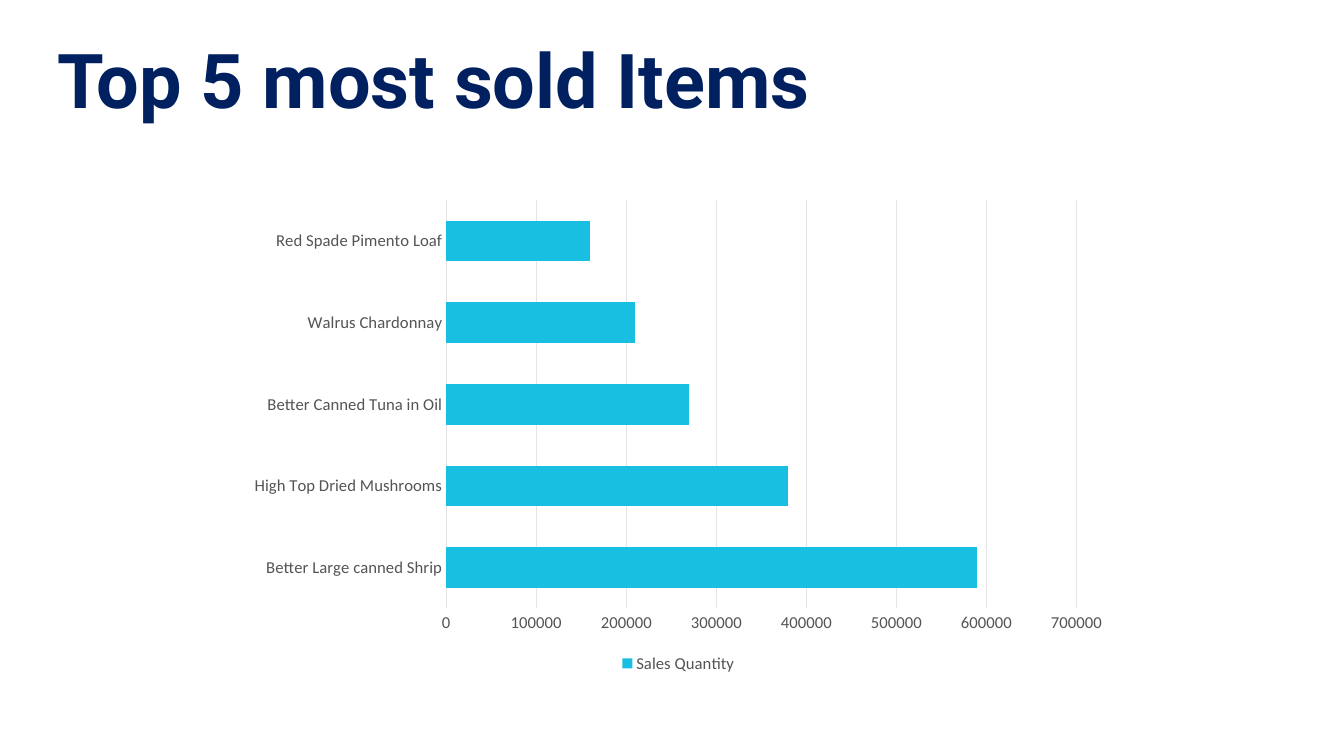
from pptx import Presentation
from pptx.chart.data import CategoryChartData
from pptx.dml.color import RGBColor
from pptx.enum.chart import XL_CHART_TYPE, XL_LEGEND_POSITION, XL_TICK_MARK
from pptx.enum.text import MSO_ANCHOR, MSO_AUTO_SIZE, PP_ALIGN
from pptx.util import Cm, Pt

BAR_CLUSTERED = XL_CHART_TYPE.BAR_CLUSTERED
LEGEND_BOTTOM = XL_LEGEND_POSITION.BOTTOM
NO_TICK = XL_TICK_MARK.NONE
TOP = MSO_ANCHOR.TOP
NO_AUTOFIT = MSO_AUTO_SIZE.NONE
LEFT = PP_ALIGN.LEFT
TITLE_ONLY = 5

SALES = {
    "Better Large canned Shrip": 590000,
    "High Top Dried Mushrooms": 380000,
    "Better Canned Tuna in Oil": 270000,
    "Walrus Chardonnay": 210000,
    "Red Spade Pimento Loaf": 160000,
}


def color(value):
    return RGBColor.from_string(value)


class SlideBuilder:
    navy = "002060"
    cyan = "19BFE0"
    gray = "545454"
    light = "E5E5E5"

    def __init__(self, presentation):
        self.slide = presentation.slides.add_slide(presentation.slide_layouts[TITLE_ONLY])

    def style_font(self, font, name, size, value, bold=False):
        font.name = name
        font.size = Pt(size)
        font.bold = bold
        font.color.rgb = color(value)

    def style_line(self, line):
        line.color.rgb = color(self.light)
        line.width = Pt(0.75)

    def title(self, text, left, top, width, height):
        shape = self.slide.shapes.title
        shape.left, shape.top, shape.width, shape.height = left, top, width, height
        frame = shape.text_frame
        frame.text = text
        frame.margin_left = frame.margin_right = frame.margin_top = frame.margin_bottom = 0
        frame.vertical_anchor = TOP
        frame.auto_size = NO_AUTOFIT
        paragraph = frame.paragraphs[0]
        paragraph.alignment = LEFT
        self.style_font(paragraph.runs[0].font, "Roboto", 54, self.navy, True)

    def bar_chart(self, name, values, left, top, width, height):
        data = CategoryChartData()
        data.categories = list(values)
        data.add_series(name, list(values.values()))
        chart = self.slide.shapes.add_chart(BAR_CLUSTERED, left, top, width, height, data).chart
        chart.has_title = False
        self.style_font(chart.font, "Calibri", 11.9, self.gray)

        chart.has_legend = True
        chart.legend.position = LEGEND_BOTTOM
        chart.legend.include_in_layout = False
        self.style_font(chart.legend.font, "Calibri", 11.9, self.gray)

        for axis in (chart.category_axis, chart.value_axis):
            axis.major_tick_mark = axis.minor_tick_mark = NO_TICK
            self.style_font(axis.tick_labels.font, "Calibri", 11.9, self.gray)
        self.style_line(chart.category_axis.format.line)

        value_axis = chart.value_axis
        value_axis.minimum_scale = 0
        value_axis.maximum_scale = 700000
        value_axis.major_unit = 100000
        value_axis.has_major_gridlines = True
        self.style_line(value_axis.major_gridlines.format.line)
        value_axis.format.line.fill.background()

        plot = chart.plots[0]
        plot.gap_width = 100
        plot.vary_by_categories = False
        fill = plot.series[0].format.fill
        fill.solid()
        fill.fore_color.rgb = color(self.cyan)


def main():
    presentation = Presentation()
    presentation.slide_width = Cm(33.87)
    presentation.slide_height = Cm(19.05)
    builder = SlideBuilder(presentation)
    builder.title("Top 5 most sold Items", Cm(1.45), Cm(0.84), Cm(20.5), Cm(2.31))
    builder.bar_chart("Sales Quantity", SALES, Cm(5.97), Cm(4.8), Cm(22.25), Cm(12.27))
    presentation.save("out.pptx")


if __name__ == "__main__":
    main()
